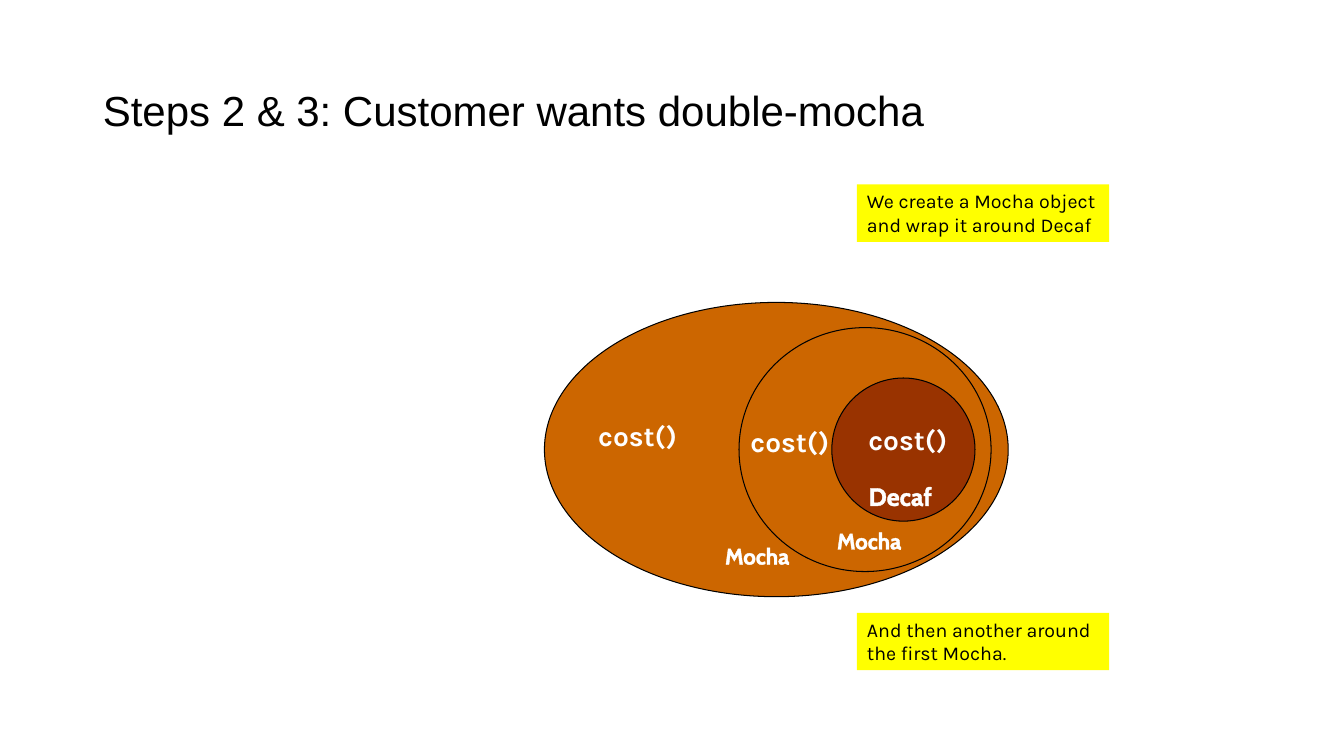
"""Build the slide that wraps a Decaf drink in two Mocha decorators."""
from lxml import etree
from pptx import Presentation
from pptx.dml.color import RGBColor
from pptx.enum.shapes import MSO_SHAPE as Preset
from pptx.enum.text import MSO_ANCHOR as Anchor, MSO_AUTO_SIZE as AutoSize, PP_ALIGN as Align
from pptx.oxml.ns import qn
from pptx.util import Inches, Pt

BLACK = RGBColor(0x00, 0x00, 0x00)
WHITE = RGBColor(0xFF, 0xFF, 0xFF)
MOCHA = RGBColor(0xCC, 0x66, 0x00)
DECAF = RGBColor(0x99, 0x33, 0x00)
YELLOW = RGBColor(0xFF, 0xFF, 0x00)


def add_span(frame, text, font, size, color, align=Align.LEFT, bold=False):
    para = frame.paragraphs[0]
    para.alignment = align
    span = para.add_run()
    span.text = text
    span.font.name = font
    span.font.size = Pt(size)
    span.font.bold = bold
    span.font.color.rgb = color
    return span


def add_preset(shapes, preset, place, color):
    shape = shapes.add_shape(preset, *map(Inches, place))
    shape.shadow.inherit = False
    shape.fill.solid()
    shape.fill.fore_color.rgb = color
    return shape


deck = Presentation()
deck.slide_width = Inches(13.33)
deck.slide_height = Inches(7.5)
page = deck.slides.add_slide(deck.slide_layouts[5])

title = page.shapes.title
title.left, title.top, title.width, title.height = map(Inches, (0.92, 0.4, 11.5, 1.45))
title.text_frame.vertical_anchor = Anchor.MIDDLE
title.text_frame.paragraphs[0].line_spacing = 0.9
add_span(title.text_frame, "Steps 2 & 3: Customer wants double-mocha", "Arial", 30, BLACK)

drinks = [
    ("Mocha", 16, MOCHA, (5.4, 3, 4.6, 2.92), (5.25, 4.1, 2.15, 0.43), (7.16, 5.33, 0.7, 0.36)),
    ("Mocha", 16, MOCHA, (7.33, 3.25, 2.5, 2.42), (7.25, 4.16, 1.17, 0.43), (8.27, 5.18, 0.7, 0.36)),
    ("Decaf", 18, DECAF, (8.25, 3.75, 1.42, 1.42), (8.51, 4.14, 0.99, 0.44), (8.58, 4.72, 0.7, 0.31)),
]
for name, size, color, oval_place, cost_place, name_place in drinks:
    group = page.shapes.add_group_shape()
    oval = add_preset(group.shapes, Preset.OVAL, oval_place, color)
    oval.line.color.rgb = BLACK
    oval.line.width = Pt(0.75)

    cost_box = group.shapes.add_textbox(*map(Inches, cost_place))
    cost_box.text_frame.word_wrap = True
    cost_box.text_frame.auto_size = AutoSize.SHAPE_TO_FIT_TEXT
    add_span(cost_box.text_frame, "cost()", "Karla", 20, WHITE, Align.CENTER, True)

    name_box = group.shapes.add_textbox(*map(Inches, name_place))
    name_box.text_frame.word_wrap = False
    name_box.text_frame.margin_left = name_box.text_frame.margin_right = 0
    span = add_span(name_box.text_frame, name, "Cabin", size, WHITE, Align.CENTER, True)
    outline = etree.Element(qn("a:ln"), w=str(Pt(0.75)))
    fill = etree.SubElement(outline, qn("a:solidFill"))
    etree.SubElement(fill, qn("a:srgbClr"), val=str(WHITE))
    span.font._element.insert(0, outline)

notes = [
    (1.83, "We create a Mocha object and wrap it around Decaf"),
    (6.08, "And then another around the first Mocha."),
]
for top, text in notes:
    note = add_preset(page.shapes, Preset.RECTANGLE, (8.5, top, 2.5, 0.57), YELLOW)
    note.line.fill.background()
    note.text_frame.word_wrap = True
    note.text_frame.auto_size = AutoSize.SHAPE_TO_FIT_TEXT
    note.text_frame.vertical_anchor = Anchor.TOP
    add_span(note.text_frame, text, "Karla", 14, BLACK)

deck.save("out.pptx")
